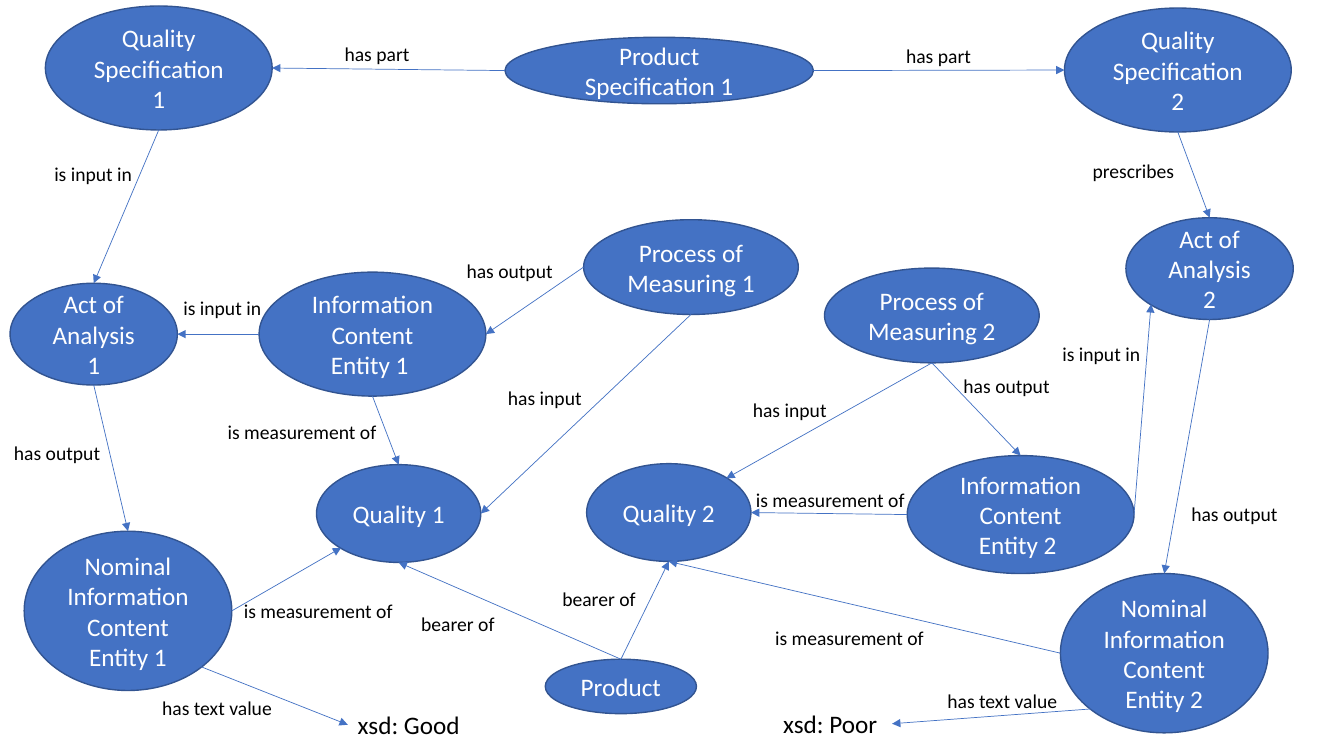
from dataclasses import dataclass

from lxml import etree
from pptx import Presentation, util as u
from pptx.dml.color import RGBColor
from pptx.enum import shapes, text
from pptx.oxml.ns import qn


@dataclass(frozen=True)
class Theme:
    """Colours, type sizes and line widths of the diagram."""
    font: str = "Calibri"
    node_fill: RGBColor = RGBColor(0x44, 0x72, 0xC4)
    node_line: RGBColor = RGBColor(0x32, 0x54, 0x91)
    node_text: RGBColor = RGBColor(0xFF, 0xFF, 0xFF)
    label_text: RGBColor = RGBColor(0, 0, 0)
    node_size: int = 18
    label_size: int = 14
    outline: float = 1
    arrow: float = 0.5


THEME = Theme()
CELL = u.Inches(0.1)  # the grid is 133.3 columns by 75 rows
COLUMNS, ROWS = 133.33, 75
DIAGONAL = 0.35  # offset of an ellipse's diagonal site from its centre

# Side: share of width, share of height, site on an ellipse, site on a box
SIDES = {
    "top": (0.5, 0, 0, 0),
    "left": (0, 0.5, 2, 1),
    "lower left": (0.5 - DIAGONAL, 0.5 + DIAGONAL, 3, None),
    "bottom": (0.5, 1, 4, 2),
    "lower right": (0.5 + DIAGONAL, 0.5 + DIAGONAL, 5, None),
    "right": (1, 0.5, 6, 3),
    "upper right": (0.5 + DIAGONAL, 0.5 - DIAGONAL, 7, None),
}

QUALITY, ENTITY, PROCESS = (16.3, 9.7), (22.5, 12.3), (21.3, 9.4)
ACT, NOMINAL = (16.6, 10.1), (20.6, 15.8)

# Key: wording, column, row, (columns, rows)
ENTITIES = {
    "quality 2": ("Quality 2", 58.2, 46, QUALITY),
    "quality 1": ("Quality 1", 31.4, 46.1, QUALITY),
    "content 1": ("Information Content Entity 1 ", 25.7, 27, ENTITY),
    "content 2": ("Information Content Entity 2 ", 90, 45.2, (22.5, 11.7)),
    "product": ("Product", 54.1, 65.4, (15, 5.4)),
    "process 1": ("Process of Measuring 1", 57.9, 21.8, PROCESS),
    "process 2": ("Process of Measuring 2", 81.8, 26.6, PROCESS),
    "spec 1": ("Quality Specification 1", 4.5, 0.6, ENTITY),
    "spec 2": ("Quality Specification 2", 105.6, 0.8, ENTITY),
    "product spec": ("Product Specification 1", 50.1, 3.7, (30.6, 6.6)),
    "act 1": ("Act of Analysis 1", 1, 28.1, ACT),
    "act 2": ("Act of Analysis 2", 111.7, 21.6, ACT),
    "nominal 1": ("Nominal Information Content Entity 1", 2.4, 52.7, NOMINAL),
    "nominal 2": ("Nominal Information Content Entity 2", 105.2, 56.9, NOMINAL),
}
LITERALS = {
    "good": ("xsd: Good", 34.5, 69.9, (19.9, 4)),
    "poor": ("xsd: Poor", 76.7, 69.8, (11.8, 4)),
}

# Predicate: subject, side, object, side, column and row of the wording
RELATIONS = {
    "has part": [
        ("product spec", "left", "spec 1", "right", 33.2, 3.7),
        ("product spec", "right", "spec 2", "left", 88.9, 3.9)],
    "has output": [
        ("process 1", "left", "content 1", "right", 45.3, 25.2),
        ("act 1", "bottom", "nominal 1", "top", 0.4, 43.3),
        ("act 2", "bottom", "nominal 2", "top", 117.2, 49.3),
        ("process 2", "bottom", "content 2", "top", 94.6, 36.6)],
    "bearer of": [
        ("product", "top", "quality 2", "bottom", 54.8, 57.7),
        ("product", "top", "quality 1", "bottom", 40.8, 60.2)],
    "prescribes": [
        ("spec 2", "bottom", "act 2", "top", 107.4, 15.3)],
    "is input in": [
        ("content 2", "right", "act 2", "lower left", 104.4, 33.4),
        ("content 1", "left", "act 1", "right", 17.2, 28.9),
        ("spec 1", "bottom", "act 1", "top", 4.4, 15.6)],
    "has input": [
        ("process 1", "bottom", "quality 1", "right", 49.4, 37.8),
        ("process 2", "bottom", "quality 2", "upper right", 73.7, 39)],
    "is measurement of": [
        ("nominal 2", "left", "quality 2", "bottom", 75.9, 61.6),
        ("nominal 1", "right", "quality 1", "lower left", 23.2, 58.9),
        ("content 1", "bottom", "quality 1", "top", 21.6, 41.2),
        ("content 2", "left", "quality 2", "right", 74, 47.9)],
    "has text value": [
        ("nominal 1", "lower right", "good", "left", 15.1, 68.5),
        ("nominal 2", "lower left", "poor", "right", 93, 67.9)],
}


def grid(*cells):
    """Turn counts of grid cells into lengths."""
    return [u.Emu(round(count * CELL)) for count in cells]


def set_font(paragraph, size, colour):
    """Give a paragraph the diagram's font."""
    paragraph.font.name = THEME.font
    paragraph.font.size = u.Pt(size)
    paragraph.font.color.rgb = colour


def add_entity(slide, wording, column, row, size):
    """Add an ellipse with centred wording."""
    entity = slide.shapes.add_shape(
        shapes.MSO_SHAPE.OVAL, *grid(column, row, *size))
    entity.shadow.inherit = False
    entity.fill.solid()
    entity.fill.fore_color.rgb = THEME.node_fill
    entity.line.color.rgb = THEME.node_line
    entity.line.width = u.Pt(THEME.outline)
    frame = entity.text_frame
    frame.word_wrap = True
    frame.vertical_anchor = text.MSO_ANCHOR.MIDDLE
    frame.text = wording
    frame.paragraphs[0].alignment = text.PP_ALIGN.CENTER
    set_font(frame.paragraphs[0], THEME.node_size, THEME.node_text)
    return entity


def add_label(slide, wording, column, row, size, points):
    """Add wording without an outline."""
    label = slide.shapes.add_textbox(*grid(column, row, *size))
    frame = label.text_frame
    frame.word_wrap = True
    frame.auto_size = text.MSO_AUTO_SIZE.SHAPE_TO_FIT_TEXT
    frame.text = wording
    set_font(frame.paragraphs[0], points, THEME.label_text)
    return label


def find_site(node, side):
    """Return the position and index of a node's connection site."""
    across, down, ellipse_site, box_site = SIDES[side]
    is_box = node.shape_type == shapes.MSO_SHAPE_TYPE.TEXT_BOX
    return (u.Emu(round(node.left + across * node.width)),
            u.Emu(round(node.top + down * node.height)),
            box_site if is_box else ellipse_site)


def add_arrow(slide, subject, subject_side, target, target_side):
    """Add an arrow glued to a site of each of two nodes."""
    *start, start_site = find_site(subject, subject_side)
    *end, end_site = find_site(target, target_side)
    arrow = slide.shapes.add_connector(
        shapes.MSO_CONNECTOR.STRAIGHT, *start, *end)
    arrow.line.color.rgb = THEME.node_fill
    arrow.line.width = u.Pt(THEME.arrow)
    etree.SubElement(arrow.line._get_or_add_ln(), qn("a:tailEnd"),
                     type="triangle")
    etree.SubElement(arrow._element.spPr, qn("a:effectLst"))
    joints = arrow._element.find(".//" + qn("p:cNvCxnSpPr"))
    for tag, node, site in (("a:stCxn", subject, start_site),
                            ("a:endCxn", target, end_site)):
        etree.SubElement(joints, qn(tag), id=str(node.shape_id), idx=str(site))


def main():
    """Build the slide and save it."""
    deck = Presentation()
    deck.slide_width, deck.slide_height = grid(COLUMNS, ROWS)
    slide = deck.slides.add_slide(deck.slide_layouts[6])
    nodes = {key: add_entity(slide, *entity)
             for key, entity in ENTITIES.items()}
    for key, literal in LITERALS.items():
        nodes[key] = add_label(slide, *literal, THEME.node_size)
    for predicate, links in RELATIONS.items():
        size = (19.8 if predicate == "is measurement of" else 16.3, 3.4)
        for subject, start, target, end, column, row in links:
            add_arrow(slide, nodes[subject], start, nodes[target], end)
            add_label(slide, predicate, column, row, size, THEME.label_size)
    deck.save("out.pptx")


main()
